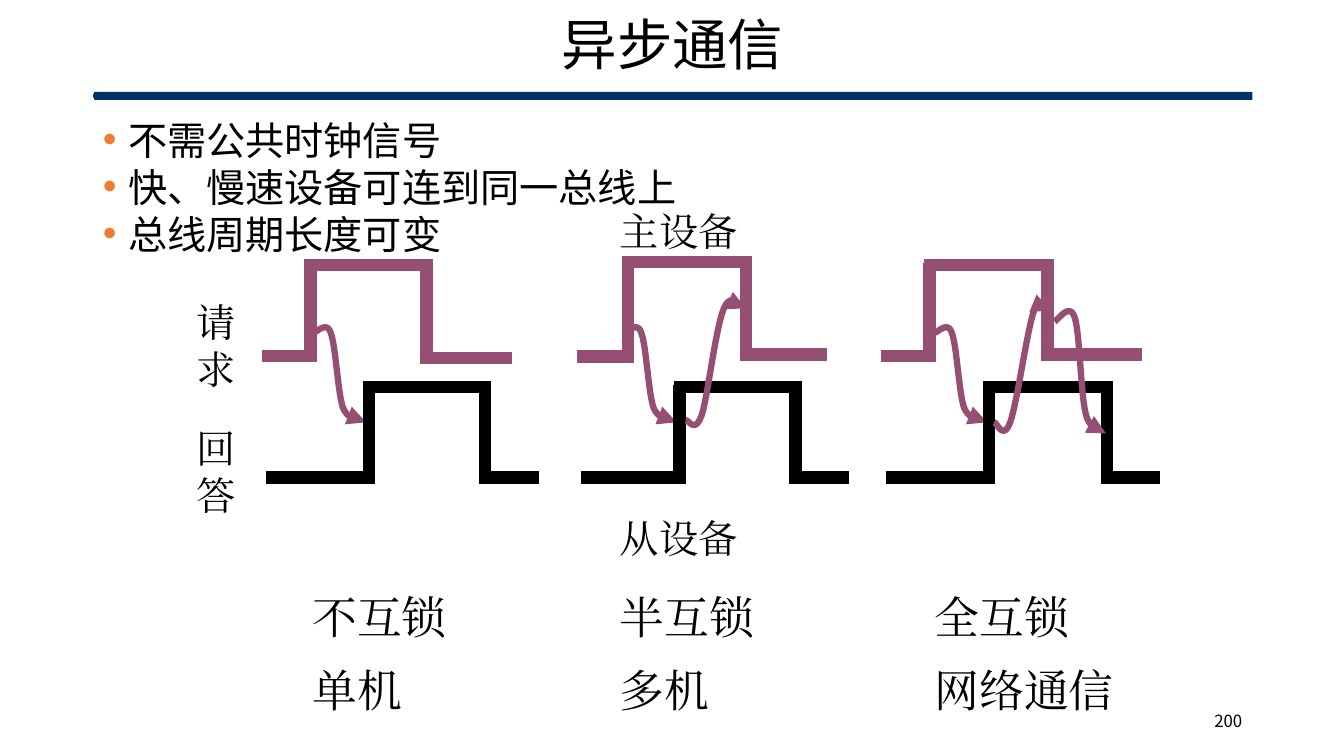
from pptx import Presentation
from pptx.dml.color import RGBColor as RGB
from pptx.enum.shapes import MSO_CONNECTOR as LINE, MSO_SHAPE as SHAPE
from pptx.enum.text import MSO_ANCHOR as ANCHOR, MSO_AUTO_SIZE as FIT, PP_ALIGN as ALIGN
from pptx.oxml.ns import qn
from pptx.util import Pt
from lxml.etree import SubElement as Sub

PX = 9144  # one px is a hundredth of an inch
HUES = {"ink": "000000", "plum": "954F72", "navy": "003366", "dot": "ED7D31"}
SANS, SERIF = "Noto Sans CJK SC", "Times New Roman"


class Board:
    def __init__(self, deck):
        self.slide = deck.slides.add_slide(deck.slide_layouts[1])
        self.shapes = self.slide.shapes

    def hue(self, name):
        return RGB.from_string(HUES[name])

    def place(self, shape, *box):
        shape.left, shape.top, shape.width, shape.height = (n * PX for n in box)

    def style(self, frame, size, face, align=ALIGN.LEFT, lead=None):
        for para in frame.paragraphs:
            para.alignment = align
            para.space_before = Pt(0)
            para.line_spacing = lead or Pt(round(size * 1.2, 1))
            for run in para.runs:
                font = run.font
                font.size, font.name = Pt(size), face
                font.color.rgb = self.hue("ink")
                Sub(font._element, qn("a:ea"), typeface=face)
                font._element.set("lang", "zh-CN")

    def title(self, text, *box):
        shape = self.shapes.title
        self.place(shape, *box)
        frame = shape.text_frame
        frame.text = text
        frame.auto_size = FIT.NONE
        frame.vertical_anchor = ANCHOR.MIDDLE
        self.style(frame, 39.6, SANS, ALIGN.CENTER, 0.9)

    def bullets(self, items, *box):
        shape = self.slide.placeholders[1]
        self.place(shape, *box)
        frame = shape.text_frame
        frame.text = "\n".join(items)
        frame.auto_size = FIT.NONE
        for para in frame.paragraphs:
            props = para._p.get_or_add_pPr()
            props.set("marL", str(25 * PX))
            props.set("indent", str(-25 * PX))
            tint = Sub(props, qn("a:buClr"))
            Sub(tint, qn("a:srgbClr"), val=HUES["dot"])
            Sub(props, qn("a:buFont"), typeface="Arial")
            Sub(props, qn("a:buChar"), char="•")
        self.style(frame, 28, SANS)

    def label(self, text, box, size, face=SERIF, align=ALIGN.LEFT, wrap=True,
              anchor=ANCHOR.TOP):
        shape = self.shapes.add_textbox(*(n * PX for n in box))
        frame = shape.text_frame
        frame.text = text
        frame.word_wrap = wrap
        frame.vertical_anchor = anchor
        self.style(frame, size, face, align)

    def bar(self, *box):
        shape = self.shapes.add_shape(SHAPE.PENTAGON, *(n * PX for n in box))
        shape.adjustments[0] = 0.2
        shape.rotation = 180
        shape.shadow.inherit = False
        shape.fill.solid()
        shape.fill.fore_color.rgb = self.hue("navy")
        shape.line.fill.background()

    def stroke(self, hue, *ends):
        line = self.shapes.add_connector(LINE.STRAIGHT, *(n * PX for n in ends))
        line.line.color.rgb = self.hue(hue)
        line.line.width = Pt(9)
        Sub(line._element.spPr, qn("a:effectLst"))

    def pulse(self, hue, start, rise, fall, end, top, low, last):
        """Low level, rising edge, high level, falling edge, low level."""
        self.stroke(hue, start, low, rise + 6, low)
        self.stroke(hue, rise, top - 2, rise, low + 6)
        self.stroke(hue, rise - 6, top, rise + 121, top)
        self.stroke(hue, fall, top - 6, fall, last + 6)
        self.stroke(hue, fall - 6, last, end, last)

    def curve(self, knots, shift=0, steps=12):
        """Arrow along cubic curves: a start, then three knots per part."""
        dots = [knots[0]]
        for i in range(0, len(knots) - 1, 3):
            for n in range(1, steps + 1):
                t = n / steps
                mix = ((1 - t) ** 3, 3 * t * (1 - t) ** 2, 3 * t * t * (1 - t), t ** 3)
                part = knots[i:i + 4]
                dots.append([sum(w * k[a] for w, k in zip(mix, part)) for a in (0, 1)])
        dots = [((x + shift) * PX, y * PX) for x, y in dots]
        pen = self.shapes.build_freeform(*dots[0], scale=1.0)
        pen.add_line_segments(dots[1:], close=False)
        shape = pen.convert_to_shape()
        shape.shadow.inherit = False
        shape.fill.background()
        shape.line.color.rgb = self.hue("plum")
        shape.line.width = Pt(4.5)
        Sub(shape.line._get_or_add_ln(), qn("a:tailEnd"), type="triangle")


def main():
    deck = Presentation()
    deck.slide_width, deck.slide_height = 1333 * PX, 750 * PX
    board = Board(deck)

    # Heading and list
    board.bar(92, 91, 1150, 8)
    board.bullets(["不需公共时钟信号", "快、慢速设备可连到同一总线上", "总线周期长度可变"],
                  92, 110, 1150, 576)
    board.title("异步通信", 92, 14, 1150, 66)
    board.label("200", (942, 695, 300, 40), 12, SANS, ALIGN.RIGHT, anchor=ANCHOR.MIDDLE)

    # Signal names
    board.label("主设备", (605, 201, 167, 57), 28)
    board.label("从设备", (605, 505, 178, 57), 28)
    for text, top in (("请\n求", 291), ("回\n答", 416)):
        board.label(text, (185, top, 59, 104), 28, wrap=False)

    # Request pulses, the arrows they send, and reply pulses
    asks = [(260, 308, 423, 508, 263, 353, 355),
            (572, 623, 740, 820, 260, 354, 352),
            (874, 922, 1039, 1133, 263, 353, 352)]
    replies = [(264, 366, 481, 535), (576, 674, 789, 842), (879, 981, 1098, 1151)]
    send = [(311, 330), (314, 330), (324, 318), (328, 330), (333, 343),
            (335, 389), (340, 404), (346, 419), (358, 415), (363, 419)]
    for i, (ask, reply) in enumerate(zip(asks, replies)):
        board.pulse("plum", *ask)
        board.curve(send, 308 * i)
        board.pulse("ink", *reply, 384, 474, 474)

    # Arrows back to the request, and on to the end of the reply
    board.curve([(680, 417), (683, 416), (689, 431), (696, 412), (702, 394),
                 (710, 324), (718, 306), (725, 288), (736, 306), (740, 306)])
    board.curve([(986, 419), (989, 419), (995, 438), (1002, 419), (1009, 400),
                 (1019, 325), (1026, 307), (1033, 289), (1038, 308), (1042, 308)])
    board.curve([(1046, 319), (1049, 318), (1061, 299), (1066, 315), (1071, 330),
                 (1072, 393), (1077, 411), (1082, 430), (1093, 423), (1097, 426),
                 (1100, 429), (1097, 429), (1097, 430)])

    # Captions
    for left, kind, use in ((300, "不互锁", "单机"), (605, "半互锁", "多机"),
                            (917, "全互锁", "网络通信")):
        board.label(kind, (left, 580, 167, 64), 32)
        board.label(use, (left, 653, 217, 64), 32)

    deck.save("out.pptx")


if __name__ == "__main__":
    main()
